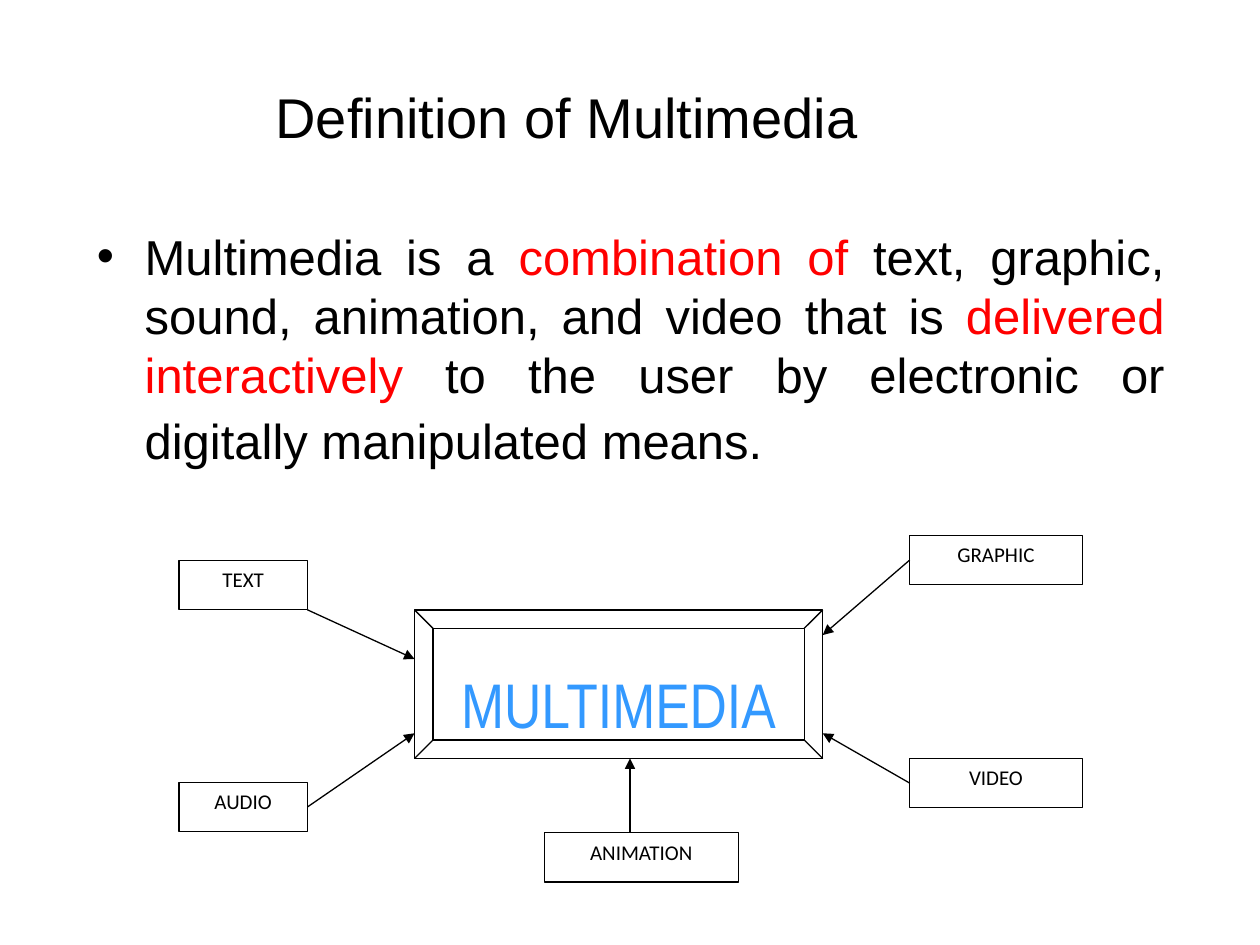
from pptx import Presentation
from pptx.util import Inches, Pt
from pptx.dml.color import RGBColor
from pptx.enum.shapes import MSO_SHAPE as Shape, MSO_CONNECTOR as Link
from pptx.enum.text import PP_ALIGN as Align, MSO_ANCHOR as Anchor
from pptx.oxml.ns import qn
from lxml.etree import SubElement as Sub

COLORS = {"ink": "000000", "paper": "FFFFFF", "key": "FF0000", "hub": "3399FF"}
BODY = [
    ("Multimedia is a ", "ink"),
    ("combination of ", "key"),
    ("text, graphic, sound, animation, and video that is ", "ink"),
    ("delivered interactively", "key"),
    (" to the user by electronic or digitally manipulated means.", "ink"),
]
MEDIA = [
    ("TEXT", 1.42, 4.45, 1.02),
    ("AUDIO", 1.42, 6.21, 1.02),
    ("GRAPHIC", 7.22, 4.25, 1.37),
    ("VIDEO", 7.22, 6.02, 1.37),
    ("ANIMATION", 4.32, 6.61, 1.54),
]
ARROWS = [
    ("TEXT", None, (2.44, 4.84), (3.29, 5.23)),
    ("AUDIO", 3, (2.44, 6.41), (3.29, 5.82)),
    ("ANIMATION", None, (5, 6.61), (5, 6.02)),
    ("VIDEO", 1, (7.22, 6.21), (6.53, 5.82)),
    ("GRAPHIC", 1, (7.22, 4.45), (6.53, 5.04)),
]


def color(name):
    return RGBColor.from_string(COLORS[name])


def style(font, face, size, tint="ink"):
    font.name = face
    font.size = Pt(size)
    font.color.rgb = color(tint)


def add_line(para, text, face, size, tint="ink"):
    para.text = text
    para.alignment = Align.CENTER
    style(para.font, face, size, tint)


def add_text(slide, area, wrap=True):
    frame = slide.shapes.add_textbox(*map(Inches, area)).text_frame
    frame.word_wrap = wrap
    return frame


def add_body(slide):
    para = add_text(slide, (0.67, 1.75, 8.67, 2.17)).paragraphs[0]
    para.alignment = Align.JUSTIFY
    props = para._p.get_or_add_pPr()
    props.set("marL", str(Inches(0.38)))
    props.set("indent", str(Inches(-0.38)))
    Sub(props, qn("a:buFont"), typeface="Arial")
    Sub(props, qn("a:buChar"), char="•")
    style(para.font, "Arial", 28)
    for text, tint in BODY:
        run = para.add_run()
        run.text = text
        style(run.font, "Arial", 28, tint)
    tail = para.add_run()
    tail.text = " "
    style(tail.font, "Arial", 32)


def add_frame(slide, kind, area):
    shape = slide.shapes.add_shape(kind, *map(Inches, area))
    shape.shadow.inherit = False
    shape.line.color.rgb = color("ink")
    shape.line.width = Pt(0.75)
    return shape


def add_box(slide, text, left, top, width):
    box = add_frame(slide, Shape.RECTANGLE, (left, top, width, 0.39))
    box.fill.solid()
    box.fill.fore_color.rgb = color("paper")
    box.text_frame.vertical_anchor = Anchor.TOP
    add_line(box.text_frame.paragraphs[0], text, "Calibri", 12)
    return box


def add_arrow(slide, box, side, start, end):
    arrow = slide.shapes.add_connector(Link.STRAIGHT, *map(Inches, start + end))
    if side is not None:
        arrow.begin_connect(box, side)
    arrow.line.color.rgb = color("ink")
    arrow.line.width = Pt(0.75)
    Sub(arrow.line._get_or_add_ln(), qn("a:tailEnd"), type="triangle")
    Sub(arrow._element.spPr, qn("a:effectLst"))


def add_hub(slide):
    label = add_text(slide, (3.63, 5.23, 2.56, 0.39), wrap=False)
    label.margin_left = label.margin_right = 0
    add_line(label.paragraphs[0], "MULTIMEDIA", "Arial Narrow", 36, "hub")
    bevel = add_frame(slide, Shape.BEVEL, (3.29, 4.84, 3.24, 1.18))
    bevel.fill.background()


def main():
    deck = Presentation()
    deck.slide_width, deck.slide_height = Inches(10), Inches(7.5)
    slide = deck.slides.add_slide(deck.slide_layouts[6])
    title = add_text(slide, (0, 0.3, 9, 1.25))
    title.vertical_anchor = Anchor.MIDDLE
    add_line(title.paragraphs[0], "Definition of Multimedia", "Arial", 32)
    add_body(slide)
    add_hub(slide)
    boxes = {row[0]: add_box(slide, *row) for row in MEDIA}
    for name, side, start, end in ARROWS:
        add_arrow(slide, boxes[name], side, start, end)
    deck.save("out.pptx")


if __name__ == "__main__":
    main()
